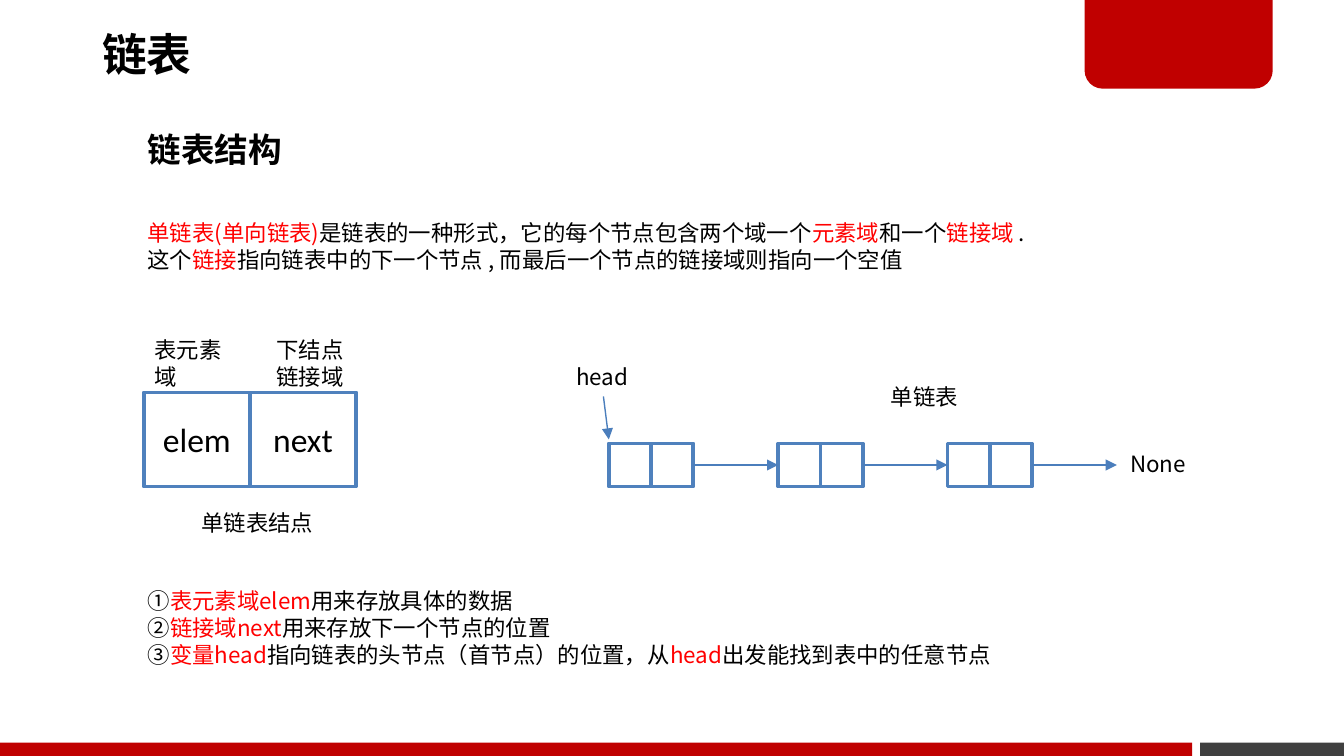
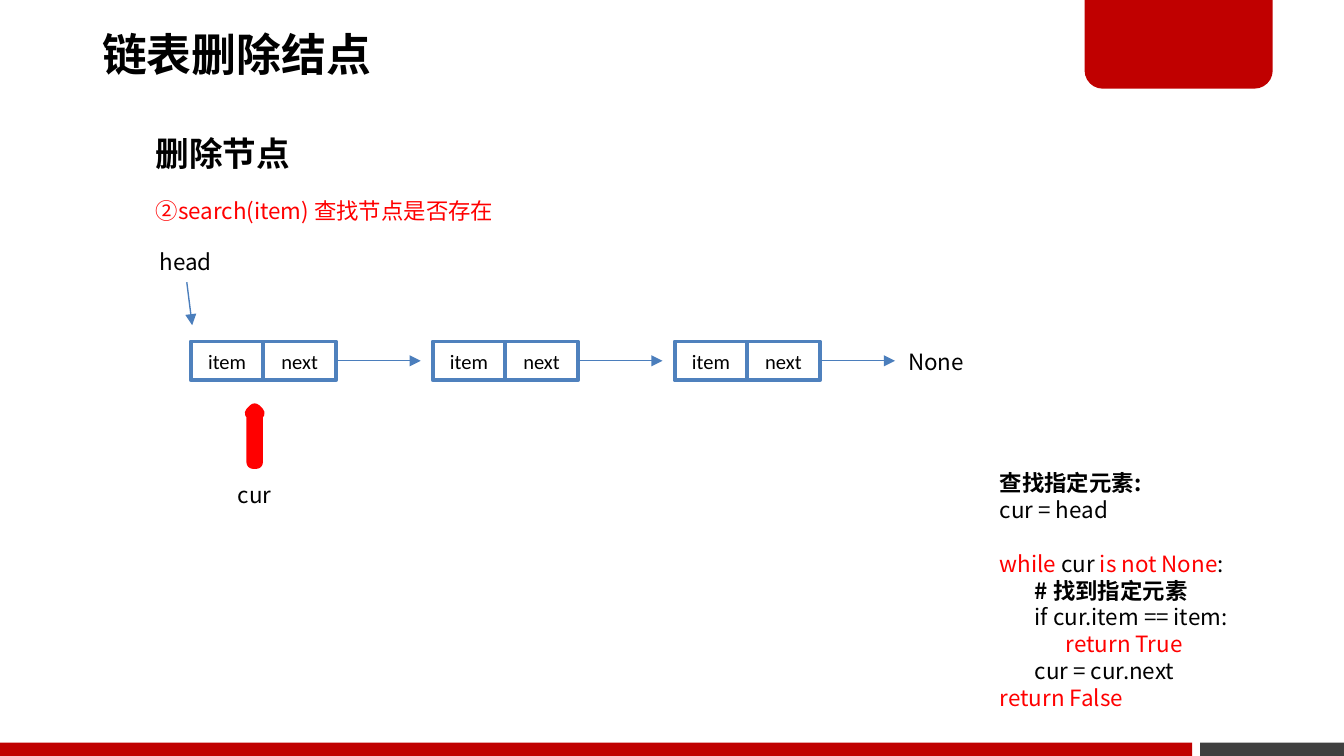
from lxml.etree import SubElement
from pptx import Presentation
from pptx.dml.color import RGBColor
from pptx.enum.shapes import MSO_CONNECTOR, MSO_SHAPE
from pptx.enum.text import MSO_ANCHOR, MSO_AUTO_SIZE, PP_ALIGN
from pptx.oxml.ns import qn
from pptx.util import Inches, Pt

# Grid: 100 columns across, square cells; boxes are (column, row, width, height)
SLIDE_W = Inches(10)
SLIDE_H = SLIDE_W * 9 // 16
CELL = SLIDE_W / 100
ROWS = SLIDE_H / CELL

RED = RGBColor(0xFF, 0x00, 0x00)
BRAND = RGBColor(0xC0, 0x00, 0x00)
DARK = RGBColor(0x40, 0x40, 0x40)
BLACK = RGBColor(0x00, 0x00, 0x00)
WHITE = RGBColor(0xFF, 0xFF, 0xFF)
BORDER = RGBColor(0x4F, 0x81, 0xBD)
ARROW = RGBColor(0x4B, 0x7E, 0xBC)

CJK, LATIN = "Noto Sans CJK SC", "Calibri"


def emu(*cells):
    return [round(c * CELL) for c in cells]


def inside(box, dx, dy, w, h):
    return box[0] + dx, box[1] + dy, w, h


def add_run(p, text, size, color=BLACK, bold=False, font=CJK):
    r = p.add_run()
    r.text = text
    r.font.size, r.font.bold, r.font.name = Pt(size), bold, font
    r.font.color.rgb = color
    SubElement(r.font._element, qn("a:ea")).set("typeface", font)


def add_text(s, box, lines, size=12, bold=False, wrap=False):
    """Each line is a list of (text, color, bold) runs; color and bold are optional."""
    tf = s.shapes.add_textbox(*emu(*box)).text_frame
    tf.word_wrap = wrap
    tf.auto_size = MSO_AUTO_SIZE.SHAPE_TO_FIT_TEXT
    for i, line in enumerate(lines):
        p = tf.add_paragraph() if i else tf.paragraphs[0]
        for text, *style in line:
            add_run(p, text, size, *(style or [BLACK, bold]))
    return tf


def add_label(s, box, *lines, **style):
    return add_text(s, box, [[(line,)] for line in lines], **style)


def add_block(s, kind, box, fill):
    sp = s.shapes.add_shape(kind, *emu(*box))
    sp.shadow.inherit = False
    sp.fill.solid()
    sp.fill.fore_color.rgb = fill
    sp.line.fill.background()
    return sp


def add_field(s, box, text, size):
    sp = add_block(s, MSO_SHAPE.RECTANGLE, box, WHITE)
    sp.line.color.rgb, sp.line.width = BORDER, Pt(2)
    if text:
        tf = sp.text_frame
        tf.vertical_anchor = MSO_ANCHOR.MIDDLE
        tf.paragraphs[0].alignment = PP_ALIGN.CENTER
        add_run(tf.paragraphs[0], text, size, font=LATIN)
    return sp


def add_node(s, box, labels=("", ""), size=11):
    """Two equal fields side by side filling the box."""
    half = box[2] / 2
    return [add_field(s, inside(box, i * half, 0, half, box[3]), text, size)
            for i, text in enumerate(labels)]


def add_arrow(s, x1, y1, x2, y2):
    c = s.shapes.add_connector(MSO_CONNECTOR.STRAIGHT, *emu(x1, y1, x2, y2))
    c.line.color.rgb, c.line.width = ARROW, Pt(0.75)
    SubElement(c.line._get_or_add_ln(), qn("a:tailEnd")).set("type", "triangle")
    SubElement(c._element.spPr, qn("a:effectLst"))
    return c


# Title, corner tab and footer bands
def add_frame(prs, title):
    s = prs.slides.add_slide(prs.slide_layouts[6])
    add_block(s, MSO_SHAPE.RECTANGLE, (89.3, ROWS - 1, 10.7, 1), DARK)
    tab = add_block(s, MSO_SHAPE.ROUND_2_SAME_RECTANGLE, (80.7, -0.2, 14, 6.8), BRAND)
    tab.adjustments[0], tab.adjustments[1] = 0, 0.2
    add_block(s, MSO_SHAPE.RECTANGLE, (0, ROWS - 1, 88.7, 1), BRAND)

    tf = s.shapes.add_textbox(*emu(6.9, -0.2, 58.9, 8.9)).text_frame
    tf.word_wrap = True
    tf.vertical_anchor = MSO_ANCHOR.MIDDLE
    tf.margin_left = tf.margin_right = Inches(0.07)
    tf.margin_top = tf.margin_bottom = Inches(0.04)
    p = tf.paragraphs[0]
    p.line_spacing = 0.9
    add_run(p, title, 24, bold=True)
    return s


# "head" label with its pointer
def add_head(s, box):
    add_label(s, inside(box, 0, 0, 6, 3), "head")
    x, y = box[:2]
    add_arrow(s, x + 3, y + 3, x + 3.4, y + box[3])


# Three linked nodes closed by None; gap is the space left before the next node
def add_chain(s, box, node_w, pitch, gap=0, labels=("", "")):
    x, y, w, h = box
    mid = y + h / 2
    nodes = [add_node(s, inside(box, i * pitch, 0, node_w, h), labels) for i in range(3)]
    for i, (_, link) in enumerate(nodes):
        last = i == len(nodes) - 1
        end = x + w if last else x + (i + 1) * pitch - gap
        c = add_arrow(s, x + i * pitch + node_w, mid, end, mid)
        c.begin_connect(link, 3)
        if not last and not gap:
            c.end_connect(nodes[i + 1][0], 1)
    add_label(s, (x + w, y, 6.4, 3), "None")


# Enlarged single node with captions
def add_node_detail(s, box):
    add_node(s, inside(box, 0.2, 4.7, 15.8, 7), ("elem", "next"), 18)
    add_label(s, inside(box, 0, 0, 7.1, 5), "表元素", "域")
    add_label(s, inside(box, 9.1, 0, 7.3, 5), "下结点", "链接域")
    add_label(s, inside(box, 3.5, 12.9, 10.4, 3), "单链表结点")


# Red marker under the current node
def add_cursor(s, box):
    sp = s.shapes.add_shape(MSO_SHAPE.UP_ARROW, *emu(*inside(box, 2, 0, 0.5, 3.9)))
    sp.shadow.inherit = False
    sp.fill.background()
    sp.line.color.rgb, sp.line.width = RED, Pt(7)
    add_label(s, inside(box, 0, 4.8, 4.5, 3), "cur")


# Search code; the blank line after the first statement is paragraph spacing
def add_code(s, box):
    tf = add_text(s, box, [
        [("查找指定元素:", BLACK, True)],
        [("cur = head",)],
        [("while ", RED), ("cur ",), ("is not None", RED), (":",)],
        [("       ",), ("# 找到指定元素", BLACK, True)],
        [("       if cur.item == item:",)],
        [("             ", BLACK, True), ("return True", RED)],
        [("       cur = cur.next",)],
        [("return False", RED)],
    ])
    tf.paragraphs[2].space_before = Pt(14.5)


def build_structure(prs):
    s = add_frame(prs, "链表")
    add_label(s, (10, 9.1, 12.1, 4), "链表结构", size=18, bold=True)
    add_text(s, (10, 15.8, 67, 7), [
        [("单链表(单向链表)", RED), ("是链表的一种形式，它的每个节点包含两个域一个",),
         ("元素域", RED), ("和一个",), ("链接域 ", RED), (".",)],
        [("这个",), ("链接", RED),
         ("指向链表中的下一个节点 , 而最后一个节点的链接域则指向一个空值",)],
    ], wrap=True)
    add_node_detail(s, (10.5, 24.5, 16.4, 15.9))
    add_head(s, (41.9, 26.5, 6, 6.2))
    add_label(s, (65.3, 28, 7.1, 3), "单链表")
    add_chain(s, (45.3, 33, 37.8, 3.2), node_w=6.3, pitch=12.6)
    add_text(s, (10, 43.2, 65.5, 9.1), [
        [("①",), ("表元素域elem", RED), ("用来存放具体的数据",)],
        [("②",), ("链接域next", RED), ("用来存放下一个节点的位置",)],
        [("③",), ("变量head", RED), ("指向链表的头节点（首节点）的位置，从",),
         ("head", RED), ("出发能找到表中的任意节点",)],
    ], wrap=True)


def build_search(prs):
    s = add_frame(prs, "链表删除结点")
    add_label(s, (10.6, 9.4, 12.1, 4), "删除节点", size=18, bold=True)
    add_text(s, (10.6, 14.2, 27.5, 3), [[("②search(item) 查找节点是否存在", RED)]])
    add_head(s, (10.9, 18, 6, 6.2))
    add_chain(s, (14.2, 25.4, 52.4, 2.9), node_w=10.8, pitch=18, gap=0.9,
              labels=("item", "next"))
    add_cursor(s, (16.7, 30.5, 4.5, 7.8))
    add_code(s, (73.4, 34.4, 20.8, 19.2))


def main():
    prs = Presentation()
    prs.slide_width, prs.slide_height = SLIDE_W, SLIDE_H
    build_structure(prs)
    build_search(prs)
    prs.save("out.pptx")


if __name__ == "__main__":
    main()
